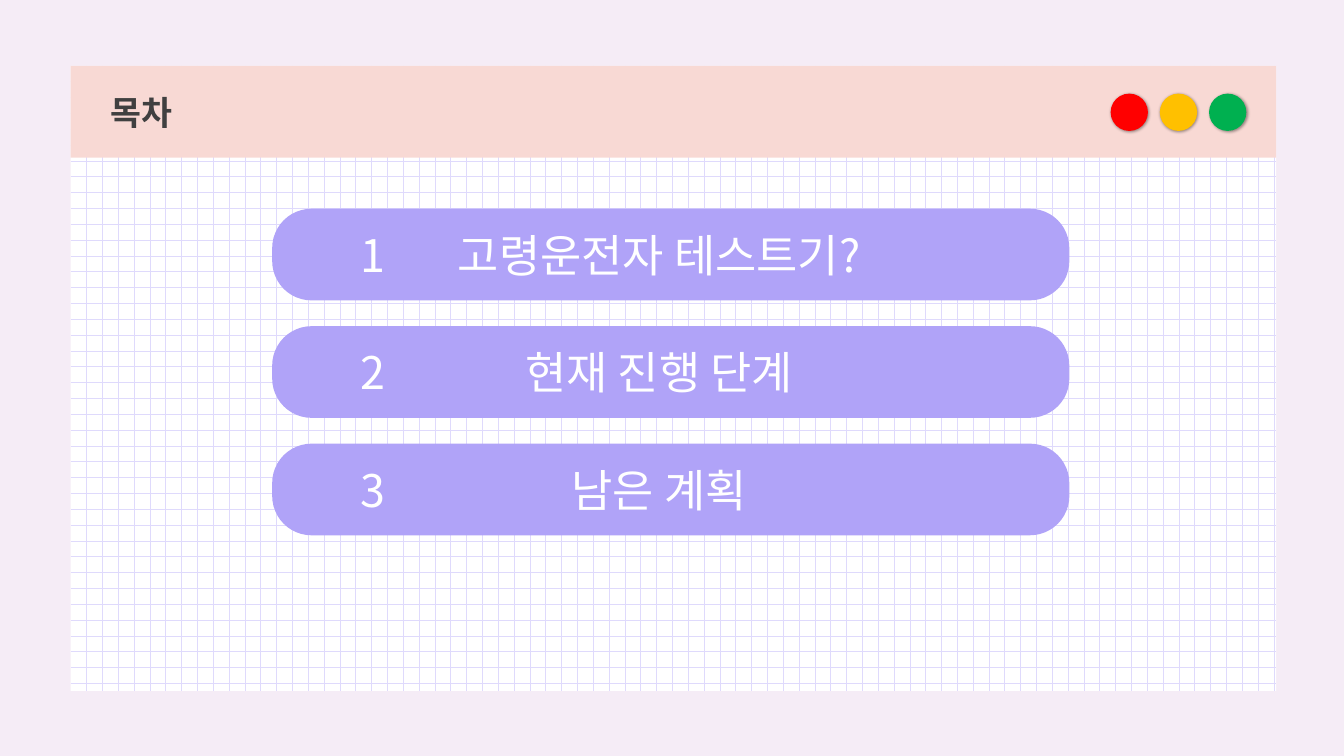
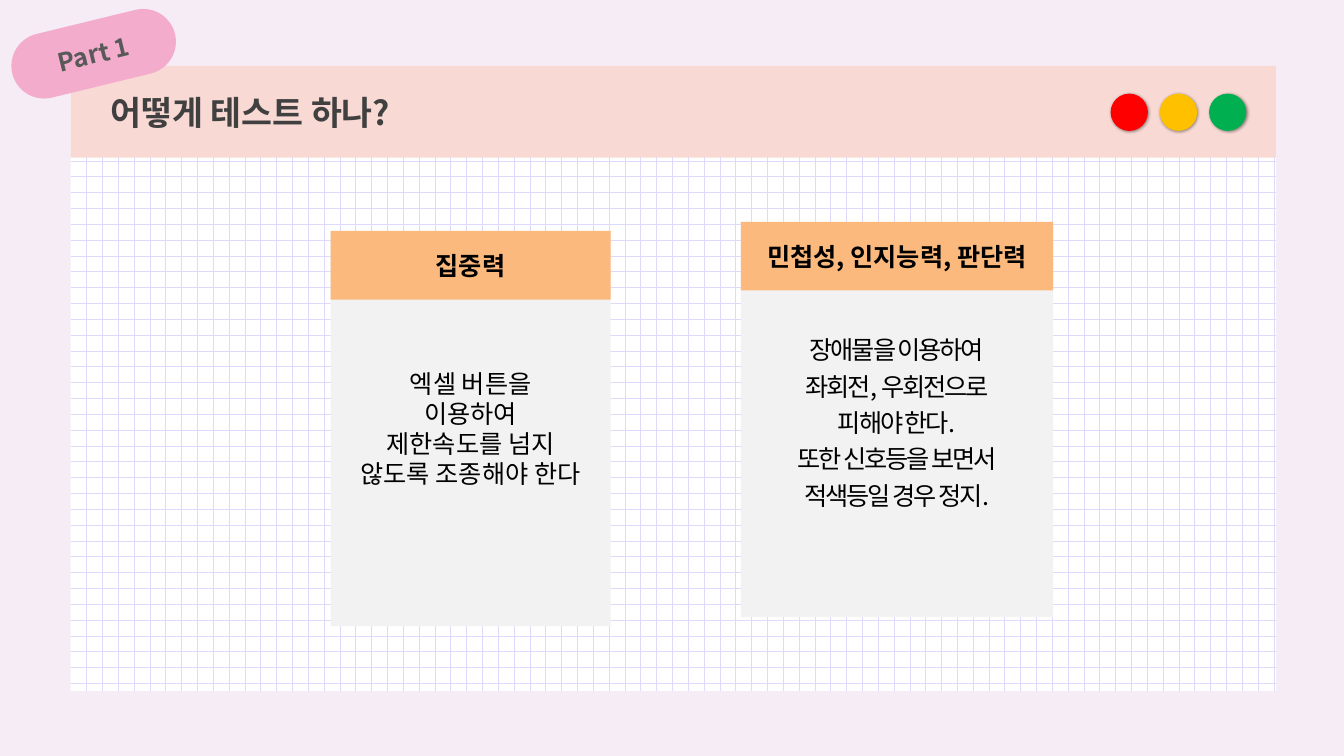
from dataclasses import dataclass

from lxml import etree
from pptx import Presentation
from pptx.dml.color import RGBColor
from pptx.enum.dml import MSO_PATTERN
from pptx.enum.shapes import MSO_SHAPE
from pptx.enum.text import MSO_ANCHOR, MSO_AUTO_SIZE, PP_ALIGN
from pptx.oxml.ns import qn
from pptx.presentation import Presentation as Deck
from pptx.shapes.autoshape import Shape
from pptx.slide import Slide
from pptx.text.text import TextFrame
from pptx.util import Cm, Pt

RECT = MSO_SHAPE.RECTANGLE
ROUNDED = MSO_SHAPE.ROUNDED_RECTANGLE
OVAL = MSO_SHAPE.OVAL
DOTTED_GRID = MSO_PATTERN.DOTTED_GRID
MIDDLE = MSO_ANCHOR.MIDDLE
FIXED = MSO_AUTO_SIZE.NONE
LEFT, CENTER = PP_ALIGN.LEFT, PP_ALIGN.CENTER
TITLE_ONLY = 5


@dataclass(frozen=True)
class Theme:
    font: str = "Noto Sans CJK KR"
    page: str = "F5ECF6"
    paper: str = "FFFFFF"
    grid: str = "DFDAFC"
    band: str = "F8D9D4"
    title: str = "404040"
    lights: tuple[str, ...] = ("FF0000", "FFC000", "00B050")
    agenda: str = "B0A3F8"
    agenda_text: str = "FFFFFF"
    tag: str = "F3ACCC"
    tag_text: str = "595959"
    card: str = "F2F2F2"
    card_heading: str = "FBB97D"
    card_text: str = "000000"
    title_size: int = 24
    agenda_size: int = 32
    body_size: int = 18


THEME = Theme()


@dataclass(frozen=True)
class Box:
    """A rectangle in centimetres."""
    left: float
    top: float
    width: float
    height: float

    def lengths(self) -> tuple[Cm, Cm, Cm, Cm]:
        return Cm(self.left), Cm(self.top), Cm(self.width), Cm(self.height)


@dataclass(frozen=True)
class TextStyle:
    size: int
    color: str
    bold: bool = False
    align: PP_ALIGN = CENTER
    line_spacing: float = 1.0
    tracking: float = 0


@dataclass(frozen=True)
class Card:
    box: Box
    heading: str
    lines: tuple[str, ...]
    line_spacing: float = 1.0
    tracking: float = 0


WINDOW = Box(1.78, 1.66, 30.38, 15.75)
BAND = Box(WINDOW.left, WINDOW.top, WINDOW.width, 2.31)
TITLE_INSET = 1.0
LIGHT = Box(27.99, 2.36, 0.94, 0.94)
LIGHT_PITCH = 1.24

FIRST_ITEM = Box(6.86, 5.26, 20.09, 2.31)
ITEM_PITCH = 2.96
NUMBER_LEFT, NUMBER_WIDTH = 8.84, 1.78
LABEL_RIGHT_INSET = 0.83
AGENDA = ("고령운전자 테스트기?", "현재 진행 단계", "남은 계획")

TAG = Box(0.25, 0.53, 4.22, 1.65)
TAG_ROTATION = 346.3
HEADING_HEIGHT = 1.73
CARDS = (
    Card(
        Box(8.33, 5.82, 7.06, 9.96),
        "집중력",
        ("엑셀 버튼을", "이용하여", "제한속도를 넘지", "않도록 조종해야 한다"),
    ),
    Card(
        Box(18.67, 5.59, 7.87, 9.96),
        "민첩성, 인지능력, 판단력",
        ("장애물을 이용하여", "좌회전, 우회전으로", "피해야 한다.",
         "또한 신호등을 보면서", "적색등일 경우 정지."),
        line_spacing=1.2,
        tracking=-1.5,
    ),
)


def rgb(color: str) -> RGBColor:
    return RGBColor.from_string(color)


def write(frame: TextFrame, lines: tuple[str, ...], style: TextStyle) -> None:
    frame.text = "\n".join(lines)
    frame.word_wrap = True
    frame.auto_size = FIXED
    frame.vertical_anchor = MIDDLE
    for paragraph in frame.paragraphs:
        paragraph.alignment = style.align
        paragraph.line_spacing = style.line_spacing
        font = paragraph.font
        font.size = Pt(style.size)
        font.bold = style.bold
        font.color.rgb = rgb(style.color)
        font.name = THEME.font
        properties = font._element
        etree.SubElement(properties, qn("a:ea"), typeface=THEME.font)
        if style.tracking:
            properties.set("spc", str(round(style.tracking * 100)))


def add_block(slide: Slide, kind: MSO_SHAPE, box: Box, color: str) -> Shape:
    """Add a flat shape without outline or shadow."""
    block = slide.shapes.add_shape(kind, *box.lengths())
    block.shadow.inherit = False
    block.line.fill.background()
    block.fill.solid()
    block.fill.fore_color.rgb = rgb(color)
    return block


def add_drop_shadow(shape: Shape) -> None:
    effects = shape._element.spPr.find(qn("a:effectLst"))
    shadow = etree.SubElement(
        effects, qn("a:outerShdw"), blurRad=str(Pt(2)), dist=str(Pt(1)),
        dir="2700000", algn="tl", rotWithShape="0")
    color = etree.SubElement(shadow, qn("a:srgbClr"), val="000000")
    etree.SubElement(color, qn("a:alpha"), val="40000")


def add_window_slide(deck: Deck, heading: str) -> Slide:
    """Add a slide framed as a window: grid paper, title band, three lights."""
    slide = deck.slides.add_slide(deck.slide_layouts[TITLE_ONLY])
    paper = add_block(slide, RECT, WINDOW, THEME.paper)
    paper.fill.patterned()
    paper.fill.pattern = DOTTED_GRID
    paper.fill.fore_color.rgb = rgb(THEME.grid)
    paper.fill.back_color.rgb = rgb(THEME.paper)

    title = slide.shapes.title
    title.left, title.top, title.width, title.height = BAND.lengths()
    title.fill.solid()
    title.fill.fore_color.rgb = rgb(THEME.band)
    write(title.text_frame, (heading,),
          TextStyle(THEME.title_size, THEME.title, bold=True, align=LEFT))
    title.text_frame.margin_left = Cm(TITLE_INSET)
    paper._element.addnext(title._element)

    for index, color in enumerate(THEME.lights):
        place = Box(LIGHT.left + index * LIGHT_PITCH, LIGHT.top,
                    LIGHT.width, LIGHT.height)
        add_drop_shadow(add_block(slide, OVAL, place, color))
    return slide


def add_agenda_item(slide: Slide, index: int, label: str) -> None:
    box = Box(FIRST_ITEM.left, FIRST_ITEM.top + index * ITEM_PITCH,
              FIRST_ITEM.width, FIRST_ITEM.height)
    bar = add_block(slide, ROUNDED, box, THEME.agenda)
    bar.adjustments[0] = 0.43
    write(bar.text_frame, (label,),
          TextStyle(THEME.agenda_size, THEME.agenda_text))
    bar.text_frame.margin_right = Cm(LABEL_RIGHT_INSET)

    number_box = Box(NUMBER_LEFT, box.top, NUMBER_WIDTH, box.height)
    number = slide.shapes.add_textbox(*number_box.lengths())
    write(number.text_frame, (str(index + 1),),
          TextStyle(THEME.agenda_size, THEME.agenda_text, align=LEFT))


def add_part_tag(slide: Slide, label: str) -> None:
    tag = add_block(slide, ROUNDED, TAG, THEME.tag)
    tag.adjustments[0] = 0.5
    tag.rotation = TAG_ROTATION
    write(tag.text_frame, (label,),
          TextStyle(THEME.body_size, THEME.tag_text, bold=True))


def add_card(slide: Slide, card: Card) -> None:
    body = add_block(slide, RECT, card.box, THEME.card)
    write(body.text_frame, card.lines,
          TextStyle(THEME.body_size, THEME.card_text,
                    line_spacing=card.line_spacing, tracking=card.tracking))
    heading_box = Box(card.box.left, card.box.top, card.box.width, HEADING_HEIGHT)
    heading = add_block(slide, RECT, heading_box, THEME.card_heading)
    write(heading.text_frame, (card.heading,),
          TextStyle(THEME.body_size, THEME.card_text, bold=True))


def build_agenda(deck: Deck) -> None:
    slide = add_window_slide(deck, "목차")
    for index, label in enumerate(AGENDA):
        add_agenda_item(slide, index, label)


def build_test_method(deck: Deck) -> None:
    slide = add_window_slide(deck, "어떻게 테스트 하나?")
    add_part_tag(slide, "Part 1")
    for card in CARDS:
        add_card(slide, card)


def main() -> None:
    deck = Presentation()
    deck.slide_width, deck.slide_height = Cm(33.87), Cm(19.05)
    backdrop = deck.slide_master.background.fill
    backdrop.solid()
    backdrop.fore_color.rgb = rgb(THEME.page)
    build_agenda(deck)
    build_test_method(deck)
    deck.save("out.pptx")


if __name__ == "__main__":
    main()
